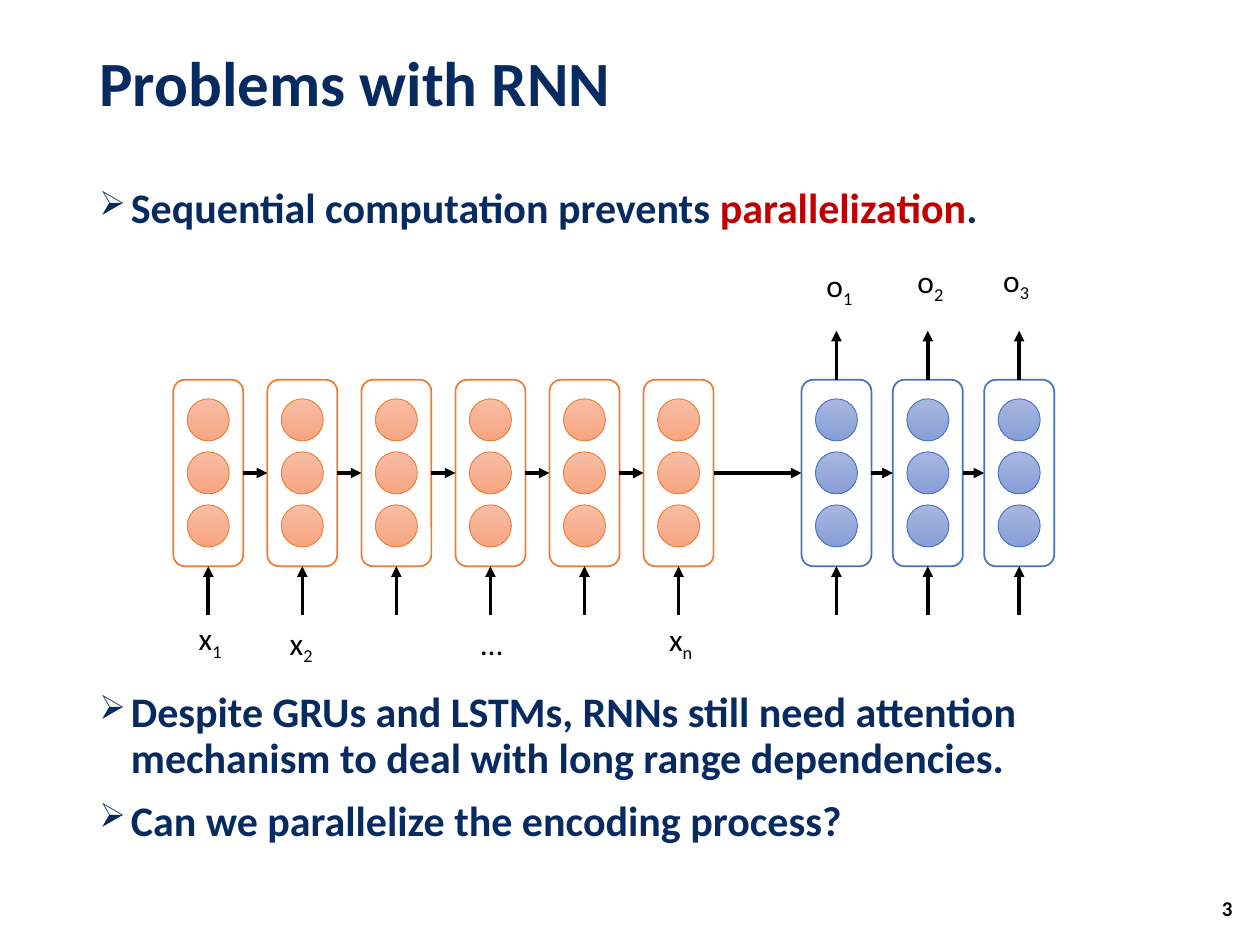
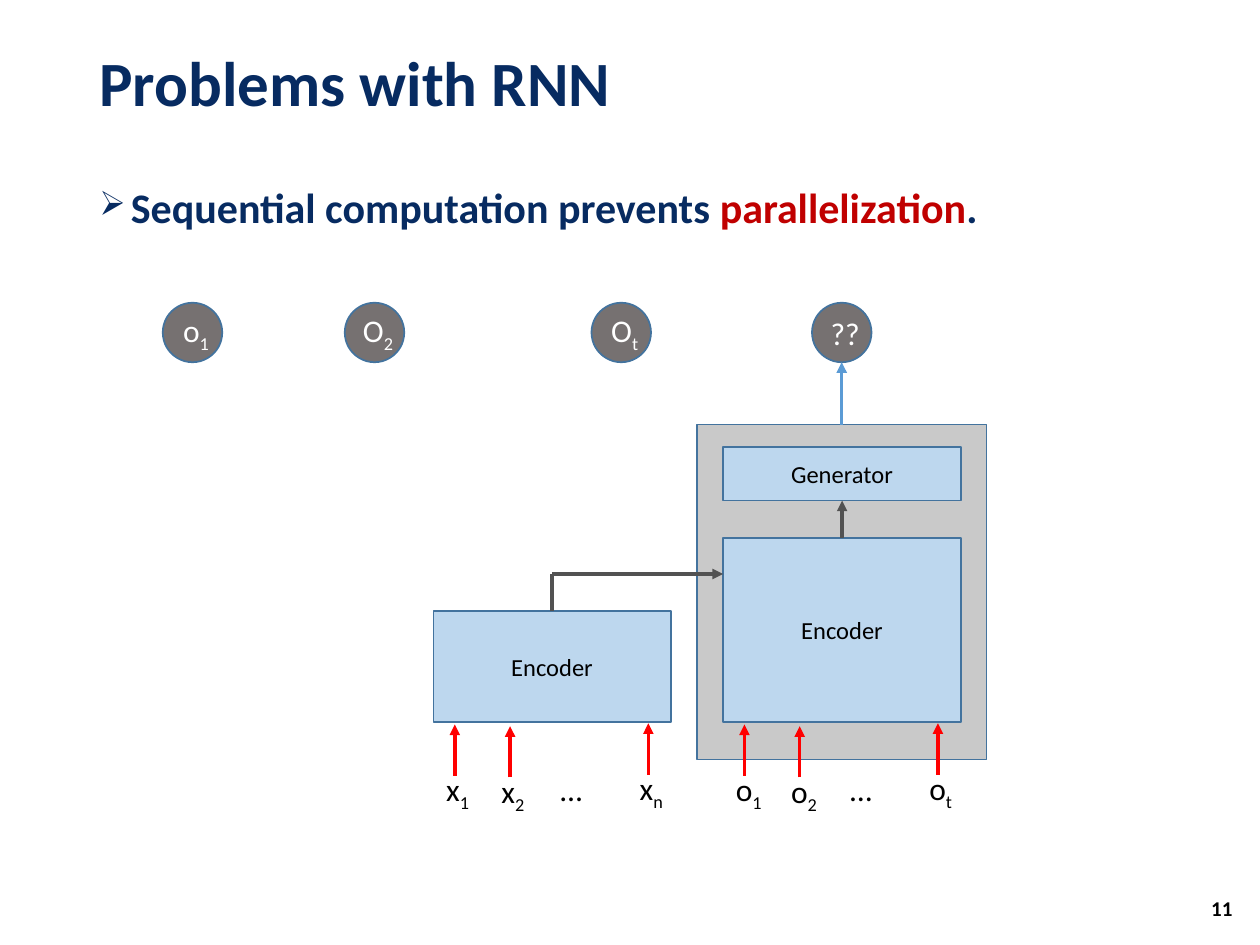
from collections import namedtuple
from dataclasses import dataclass
from itertools import pairwise

from lxml.etree import SubElement
from pptx import Presentation
from pptx.dml.color import RGBColor
from pptx.enum.shapes import MSO_CONNECTOR as Connector, MSO_SHAPE as Shape
from pptx.enum.text import MSO_ANCHOR as Anchor, MSO_AUTO_SIZE as AutoSize, PP_ALIGN as Align
from pptx.oxml.ns import qn
from pptx.util import Pt

Box = namedtuple("Box", "left top width height")
Palette = namedtuple("Palette", "line start end")
TOP, LEFT, BOTTOM, RIGHT = range(4)


@dataclass(frozen=True)
class Theme:
    font: str = "Calibri"
    navy: str = "072B61"
    accent: str = "C00000"
    black: str = "000000"
    white: str = "FFFFFF"
    block: str = "BDD7EE"
    outline: str = "43739E"
    panel: str = "C9C9C9"
    output: str = "767171"
    flow: str = "525252"
    result: str = "5B9BD5"
    feed: str = "FF0000"
    encoder: Palette = Palette("ED7D31", "F7BDA5", "F8A582")
    decoder: Palette = Palette("4472C4", "A8B7DF", "889ED7")
    title_size: int = 36
    body_size: int = 24
    label_size: int = 18
    block_size: int = 14
    number_size: int = 12


THEME = Theme()
TITLE = Box(49.7, 13, 620.6, 72.7)
BODY = Box(49.7, 103.7, 620.6, 50)
CONCLUSION = Box(49.7, 391.7, 620.6, 103.7)
NUMBER = Box(673.9, 504.7, 37.4, 28.8)
OPENING = [("Sequential computation prevents ", None), ("parallelization", THEME.accent), (".", None)]


def colour(code):
    return RGBColor.from_string(code)


def style(para, size, code, bold=False):
    para.font.name = THEME.font
    para.font.size = Pt(size)
    para.font.color.rgb = colour(code)
    para.font.bold = bold


def add_text_box(page, box):
    frame = page.shapes.add_textbox(*map(Pt, box)).text_frame
    frame.word_wrap = True
    return frame


def add_bullets(page, box, bullets):
    frame = add_text_box(page, box)
    for index, spans in enumerate(bullets):
        para = frame.add_paragraph() if index else frame.paragraphs[0]
        para.line_spacing = 0.9
        if index:
            para.space_before = Pt(10)
        layout = para._p.get_or_add_pPr()
        layout.set("marL", str(Pt(18)))
        layout.set("indent", str(Pt(-18)))
        SubElement(layout, qn("a:buSzPct")).set("val", "80000")
        SubElement(layout, qn("a:buChar")).set("char", "➢")
        style(para, THEME.body_size, THEME.navy, True)
        for text, code in spans:
            span = para.add_run()
            span.text = text
            if code:
                span.font.color.rgb = colour(code)


def add_frame(deck, number):
    page = deck.slides.add_slide(deck.slide_layouts[6])
    title = add_text_box(page, TITLE)
    title.text = "Problems with RNN"
    title.vertical_anchor = Anchor.MIDDLE
    title.paragraphs[0].line_spacing = 0.9
    style(title.paragraphs[0], THEME.title_size, THEME.navy, True)
    footer = add_text_box(page, NUMBER)
    footer.text = str(number)
    footer.vertical_anchor = Anchor.MIDDLE
    footer.paragraphs[0].alignment = Align.RIGHT
    style(footer.paragraphs[0], THEME.number_size, THEME.black, True)
    add_bullets(page, BODY, [OPENING])
    return page


def write_symbol(frame, base, index, code):
    para = frame.paragraphs[0]
    style(para, THEME.label_size, code)
    para.add_run().text = base
    if index:
        span = para.add_run()
        span.text = index
        span._r.get_or_add_rPr().set("baseline", "-25000")


def add_symbol(page, left, top, base, index=""):
    frame = add_text_box(page, Box(left, top, 30, 28.8))
    frame.word_wrap = False
    frame.auto_size = AutoSize.SHAPE_TO_FIT_TEXT
    write_symbol(frame, base, index, THEME.black)


def add_figure(shapes, kind, box, fill, line, weight=1):
    figure = shapes.add_shape(kind, *map(Pt, box))
    figure.shadow.inherit = False
    if isinstance(fill, Palette):
        figure.fill.gradient()
        figure.fill.gradient_angle = 270
        for stop, code in zip(figure.fill.gradient_stops, (fill.start, fill.end)):
            stop.color.rgb = colour(code)
    else:
        figure.fill.solid()
        figure.fill.fore_color.rgb = colour(fill)
    figure.line.color.rgb = colour(line)
    figure.line.width = Pt(weight)
    return figure


def add_line(page, start, end, code, begin=None, finish=None, arrow=True):
    link = page.shapes.add_connector(Connector.STRAIGHT, *map(Pt, (*start, *end)))
    if begin:
        link.begin_connect(*begin)
    if finish:
        link.end_connect(*finish)
    link.line.color.rgb = colour(code)
    link.line.width = Pt(2)
    if arrow:
        SubElement(link.line._get_or_add_ln(), qn("a:tailEnd")).set("type", "triangle")
    SubElement(link._element.spPr, qn("a:effectLst"))


def add_cell(page, box, palette):
    group = page.shapes.add_group_shape()
    cell = add_figure(group.shapes, Shape.ROUNDED_RECTANGLE, box, THEME.white, palette.line)
    for row in range(3):
        unit = Box(box.left + 8, box.top + 10.9 + 30.3 * row, 24, 24)
        add_figure(group.shapes, Shape.OVAL, unit, palette, palette.line, 0.5)
    return cell


def add_cell_row(page, box, count, pitch, palette, outputs=False):
    cells = []
    bottom = box.top + box.height
    for column in range(count):
        left = box.left + pitch * column
        center = left + 20
        cell = add_cell(page, Box(left, box.top, 40, box.height), palette)
        add_line(page, (center, bottom + 28), (center, bottom), THEME.black, finish=(cell, BOTTOM))
        if outputs:
            add_line(page, (center, box.top), (center, box.top - 28), THEME.black, begin=(cell, TOP))
        cells.append(cell)
    return cells


def add_recurrent_network(page, box):
    encoder_pitch, decoder_pitch, decoder_left = 53.75, 52.2, box.left + 359
    encoder = add_cell_row(page, box, 6, encoder_pitch, THEME.encoder)
    decoder = add_cell_row(page, box._replace(left=decoder_left), 3, decoder_pitch, THEME.decoder, True)
    for source, target in pairwise(encoder + decoder):
        add_line(page, (0, 0), (0, 0), THEME.black, (source, RIGHT), (target, LEFT))
    bottom = box.top + box.height
    inputs = [(0, "x", "1", 7.5, 26.4), (1, "x", "2", 5.7, 29.2), (3, "…", "", 7.5, 29.2), (5, "x", "n", 7.5, 27)]
    for column, base, index, shift, drop in inputs:
        add_symbol(page, box.left + encoder_pitch * column + shift, bottom + drop, base, index)
    for column, (shift, rise) in enumerate([(7.2, 68.7), (7, 70.8), (3.8, 71.6)]):
        left = decoder_left + decoder_pitch * column + shift
        add_symbol(page, left, box.top - rise, "o", str(column + 1))


def add_output(page, left, top, base, index):
    circle = add_figure(page.shapes, Shape.OVAL, Box(left, top, 34, 34), THEME.output, THEME.outline)
    frame = circle.text_frame
    frame.word_wrap = False
    frame.margin_left = Pt(4)
    frame.margin_right = frame.margin_top = frame.margin_bottom = 0
    frame.vertical_anchor = Anchor.MIDDLE
    frame.paragraphs[0].alignment = Align.CENTER
    write_symbol(frame, base, index, THEME.white)


def add_block(page, box, label):
    block = add_figure(page.shapes, Shape.RECTANGLE, box, THEME.block, THEME.outline)
    block.text_frame.text = label
    block.text_frame.vertical_anchor = Anchor.MIDDLE
    para = block.text_frame.paragraphs[0]
    para.alignment = Align.CENTER
    style(para, THEME.block_size, THEME.black)
    return block


def add_inputs(page, box, base, last):
    bottom = box.top + box.height
    for index, offset, drop in [("1", 12.2, 0.7), ("2", 43.8, 1.7), (last, 122.8, 0)]:
        x, y = box.left + offset, bottom + drop
        add_line(page, (x, y + 30), (x, y + 0.7), THEME.feed)
        add_symbol(page, x - 12, y + 23.3, base, index)
    add_symbol(page, box.left + 65.5, bottom + 24, "…")


def add_encoder(page, box, target_left, turn):
    encoder = add_block(page, box, "Encoder")
    add_inputs(page, box, "x", "n")
    center = box.left + box.width / 2
    add_line(page, (center, box.top), (center, turn), THEME.flow, begin=(encoder, TOP), arrow=False)
    add_line(page, (center, turn), (target_left, turn), THEME.flow)


def add_decoder(page, box, output_bottom):
    panel = add_figure(page.shapes, Shape.RECTANGLE, box, THEME.panel, THEME.outline)
    center = box.left + box.width / 2
    add_line(page, (center, box.top), (center, output_bottom), THEME.result, begin=(panel, TOP))
    generator = add_block(page, Box(box.left + 15, box.top + 13, 136, 30.5), "Generator")
    inner = Box(box.left + 15, box.top + 64.8, 136, 105.2)
    encoder = add_block(page, inner, "Encoder")
    add_line(page, (0, 0), (0, 0), THEME.flow, (encoder, TOP), (generator, BOTTOM))
    add_inputs(page, inner, "o", "t")
    return inner


def build_sequence_page(deck):
    page = add_frame(deck, 3)
    add_recurrent_network(page, Box(99, 217, 505, 106.6))
    add_bullets(page, CONCLUSION, [
        [("Despite GRUs and LSTMs, RNNs still need attention mechanism to deal with long range dependencies.", None)],
        [("Can we parallelize the encoding process?", None)],
    ])


def build_generation_page(deck):
    page = add_frame(deck, 11)
    output_top = 173
    for left, base, index in [(93, "o", "1"), (197, "O", "2"), (338, "O", "t"), (464, "??", "")]:
        add_output(page, left, output_top, base, index)
    inner = add_decoder(page, Box(398.2, 242.6, 165.6, 191.5), output_top + 34)
    add_encoder(page, Box(247.7, 349.2, 135.6, 63.4), inner.left, inner.top + 20.6)


def main():
    deck = Presentation()
    deck.slide_width, deck.slide_height = Pt(720), Pt(540)
    build_sequence_page(deck)
    build_generation_page(deck)
    deck.save("out.pptx")


if __name__ == "__main__":
    main()
